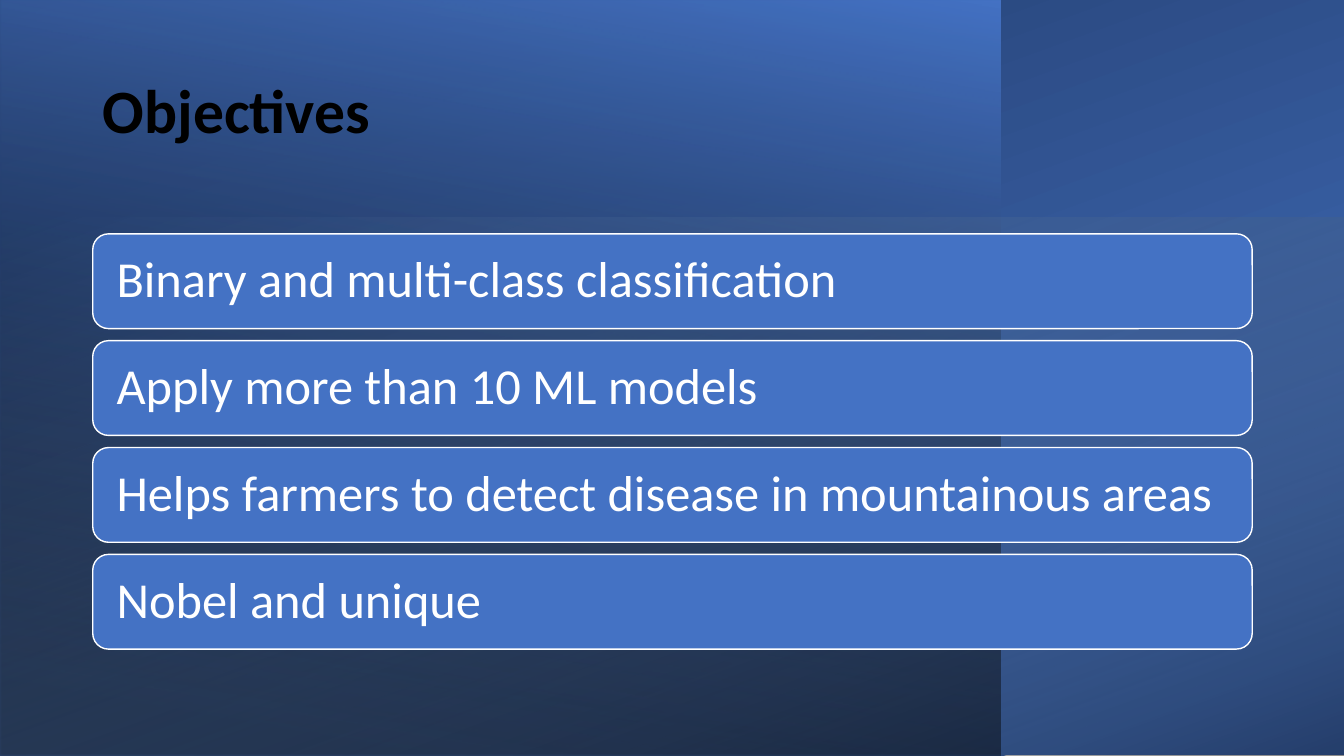
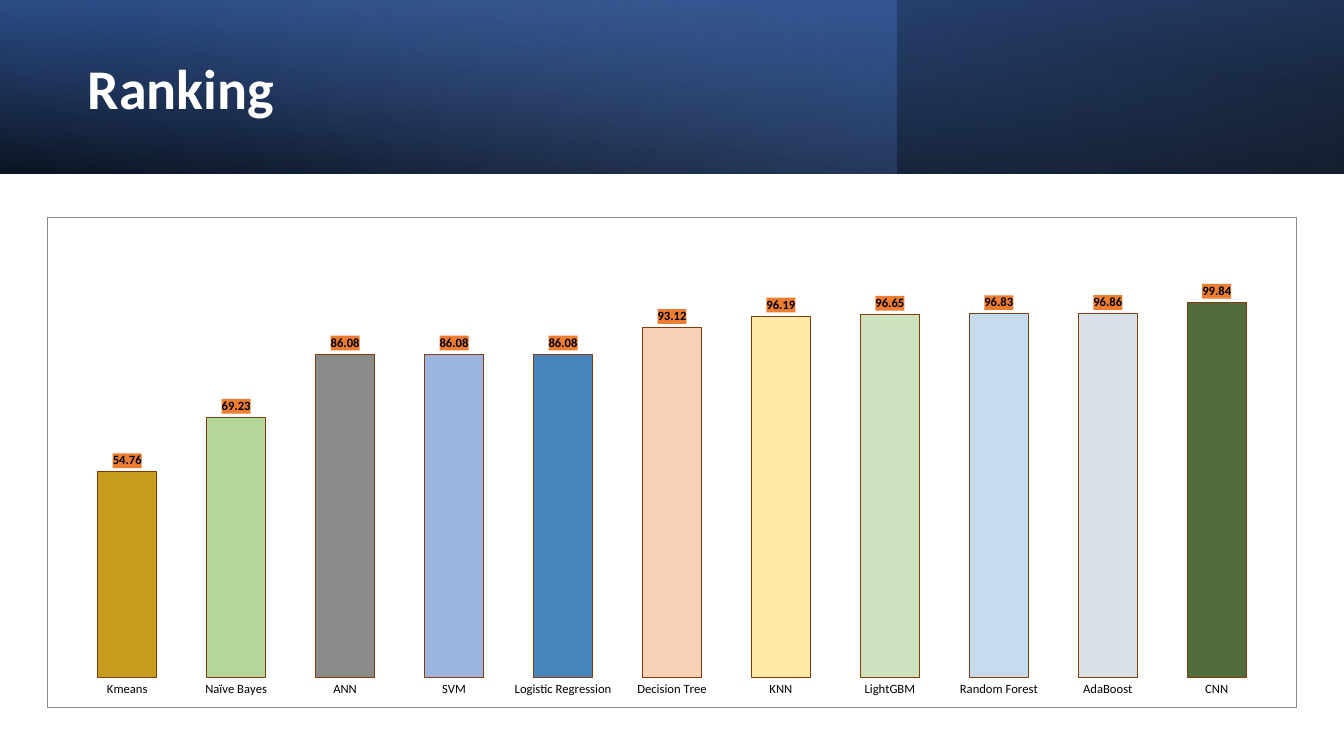
"""Build the objectives slide and the model ranking slide."""
from pptx import Presentation
from pptx.chart.data import CategoryChartData
from pptx.dml.color import RGBColor
from pptx.enum import chart as charts, shapes, text
from pptx.oxml import parse_xml
from pptx.oxml.ns import nsdecls, qn
from pptx.util import Inches, Pt

FONT = "Calibri"
BLACK = RGBColor(0x00, 0x00, 0x00)
WHITE = RGBColor(0xFF, 0xFF, 0xFF)
BLUE = RGBColor(0x44, 0x72, 0xC4)
NAVY = RGBColor(0x20, 0x38, 0x64)
DEEP_BLUE = RGBColor(0x2F, 0x55, 0x97)
SOFT_BLUE = RGBColor(0x8F, 0xAA, 0xDC)
SKY = RGBColor(0x9D, 0xC3, 0xE6)
ORANGE = RGBColor(0xED, 0x7D, 0x31)
BROWN = RGBColor(0x84, 0x3C, 0x0B)
GREY = RGBColor(0x8C, 0x8C, 0x8C)

# (left, top, width, height), rotation, flipped, angle, (position, colour, opacity) stops
OBJECTIVES_BANDS = [
    ((2.92, -2.92, 7.5, 13.33), 270, True, 200, [(8, BLUE, 100), (100, NAVY, 100)]),
    ((0, 0, 9.92, 7.5), 180, True, 80, [(8, BLACK, 52), (100, BLUE, 100)]),
    ((3.99, -1.84, 5.35, 13.34), 270, True, 20, [(0, SKY, 0), (100, BLACK, 46)]),
]
RANKING_BANDS = [
    ((0, 0, 13.33, 1.72), 180, True, 100, [(0, BLACK, 96), (100, DEEP_BLUE, 100)]),
    ((0, 0, 8.89, 1.72), 0, False, 140, [(0, BLUE, 41), (74, SOFT_BLUE, 0)]),
    ((0, 0, 13.33, 1.72), 0, True, 260, [(0, BLACK, 63), (78, BLUE, 15)]),
]
OBJECTIVES = [
    "Binary and multi-class classification",
    "Apply more than 10 ML models",
    "Helps farmers to detect disease in mountainous areas",
    "Nobel and unique",
]
RANKING = [
    ("Kmeans", 54.76, "BF9000"),
    ("Naïve Bayes", 69.23, "A9D18E"),
    ("ANN", 86.08, "7C7C7C"),
    ("SVM", 86.08, "8FAADC"),
    ("Logistic Regression", 86.08, "2E75B6"),
    ("Decision Tree", 93.12, "F8CBAD"),
    ("KNN", 96.19, "FFE699"),
    ("LightGBM", 96.65, "C5E0B4"),
    ("Random Forest", 96.83, "BDD7EE"),
    ("AdaBoost", 96.86, "D6DCE5"),
    ("CNN", 99.84, "385723"),
]
BAR_OPACITY = 88


def place(frame):
    return [Inches(length) for length in frame]


def add_band(page, frame, rotation, flipped, angle, stops):
    band = page.shapes.add_shape(shapes.MSO_SHAPE.RECTANGLE, *place(frame))
    band.shadow.inherit = False
    band.rotation = rotation
    band.line.fill.background()
    band.fill.background()
    properties = band._element.spPr
    if flipped:
        properties.xfrm.set("flipH", "1")
    stop_xml = "".join(
        f'<a:gs pos="{position * 1000}"><a:srgbClr val="{color}">'
        f'<a:alpha val="{opacity * 1000}"/></a:srgbClr></a:gs>'
        for position, color, opacity in stops)
    gradient = parse_xml(
        f'<a:gradFill rotWithShape="1" {nsdecls("a")}><a:gsLst>{stop_xml}</a:gsLst>'
        f'<a:lin ang="{angle * 60000}" scaled="0"/></a:gradFill>')
    properties.replace(properties.find(qn("a:noFill")), gradient)


def style_font(font, size, color, bold=False):
    font.name, font.size, font.bold = FONT, Pt(size), bold
    font.color.rgb = color


def write(box, words, size, color, bold=False):
    frame = box.text_frame
    frame.word_wrap = True
    frame.vertical_anchor = text.MSO_ANCHOR.MIDDLE
    para = frame.paragraphs[0]
    para.alignment = text.PP_ALIGN.LEFT
    para.line_spacing = 0.9
    span = para.add_run()
    span.text = words
    style_font(span.font, size, color, bold)


def add_page(deck, bands, title, frame, size, color):
    page = deck.slides.add_slide(deck.slide_layouts[6])
    for band in bands:
        add_band(page, *band)
    write(page.shapes.add_textbox(*place(frame)), title, size, color, bold=True)
    return page


def add_objectives(page):
    top, pitch = 2.32, 1.06
    for index, objective in enumerate(OBJECTIVES):
        card = page.shapes.add_shape(
            shapes.MSO_SHAPE.ROUNDED_RECTANGLE,
            *place((0.92, top + index * pitch, 11.5, 0.94)))
        card.shadow.inherit = False
        card.fill.solid()
        card.fill.fore_color.rgb = BLUE
        card.line.color.rgb = WHITE
        card.line.width = Pt(1)
        card.text_frame.margin_left = card.text_frame.margin_right = Inches(0.19)
        write(card, objective, 36, WHITE)


def color_bar(bar, color):
    bar.format.fill.solid()
    bar.format.fill.fore_color.rgb = color
    bar.format.line.color.rgb = BROWN
    bar.format.line.width = Pt(0.75)
    solid = bar.format.fill._xPr.find(qn("a:solidFill"))
    solid[0].append(parse_xml(f'<a:alpha {nsdecls("a")} val="{BAR_OPACITY * 1000}"/>'))


def chart_box(fill, line=""):
    return parse_xml(
        f'<c:spPr {nsdecls("c", "a")}><a:solidFill><a:srgbClr val="{fill}"/></a:solidFill>'
        f'{line}</c:spPr>')


def add_ranking(page):
    data = CategoryChartData()
    data.categories = [name for name, _, _ in RANKING]
    data.add_series("Series 1", [score for _, score, _ in RANKING])
    chart = page.shapes.add_chart(
        charts.XL_CHART_TYPE.COLUMN_CLUSTERED, *place((0.47, 2.15, 12.39, 4.87)), data).chart
    chart.has_legend = chart.has_title = False
    style_font(chart.font, 10, BLACK)
    border = (f'<a:ln w="{Pt(0.5)}"><a:solidFill><a:srgbClr val="{GREY}"/>'
              '</a:solidFill></a:ln>')
    chart._chartSpace.chart.addnext(chart_box(WHITE, border))

    names = chart.category_axis
    names.major_tick_mark = charts.XL_TICK_MARK.NONE
    names.format.line.fill.background()
    style_font(names.tick_labels.font, 9, BLACK)
    scores = chart.value_axis
    scores.minimum_scale, scores.maximum_scale = 0, 120
    scores.has_major_gridlines = False
    scores.visible = False

    plot = chart.plots[0]
    plot.gap_width = 84
    plot.vary_by_categories = False
    series = plot.series[0]
    color_bar(series, ORANGE)
    for index, (_, _, color) in enumerate(RANKING):
        color_bar(series.points[index], RGBColor.from_string(color))
    labels = series.data_labels
    labels.show_value = True
    labels.position = charts.XL_LABEL_POSITION.OUTSIDE_END
    style_font(labels.font, 9, BLACK, bold=True)
    labels._element.find(qn("c:txPr")).addprevious(chart_box(ORANGE))

    area = chart._chartSpace.chart.plotArea
    for old in area.findall(qn("c:layout")):
        area.remove(old)
    edges = "".join(f'<c:{key} val="{value}"/>' for key, value in [
        ("layoutTarget", "inner"), ("xMode", "edge"), ("yMode", "edge"),
        ("x", 0.02), ("y", 0.02), ("w", 0.96), ("h", 0.92)])
    area.insert(0, parse_xml(
        f'<c:layout {nsdecls("c")}><c:manualLayout>{edges}</c:manualLayout></c:layout>'))


def main():
    deck = Presentation()
    deck.slide_width, deck.slide_height = Inches(13.33), Inches(7.5)
    add_objectives(add_page(
        deck, OBJECTIVES_BANDS, "Objectives", (0.92, 0.4, 11.5, 1.45), 44, BLACK))
    add_ranking(add_page(
        deck, RANKING_BANDS, "Ranking", (0.77, 0.27, 7.72, 1.27), 40, WHITE))
    deck.save("out.pptx")


if __name__ == "__main__":
    main()
